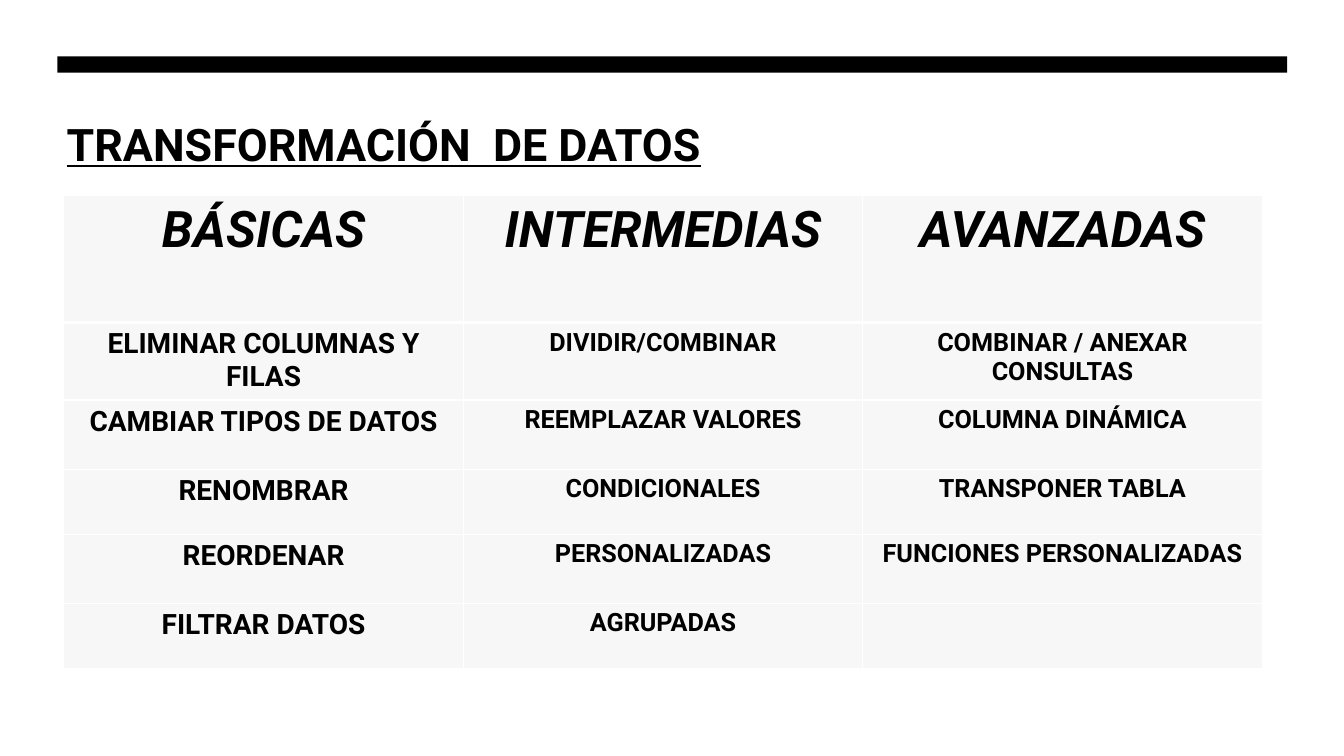
"""Builds the slide on basic, intermediate and advanced data transformations."""
from lxml import etree
from pptx import Presentation
from pptx.dml.color import RGBColor
from pptx.enum.shapes import MSO_SHAPE
from pptx.enum.text import MSO_ANCHOR, PP_ALIGN
from pptx.oxml.ns import qn
from pptx.util import Cm, Pt

BLACK = RGBColor(0x00, 0x00, 0x00)
WHITE = RGBColor(0xFF, 0xFF, 0xFF)
PALE_GRAY = RGBColor(0xF7, 0xF7, 0xF7)
RECTANGLE = MSO_SHAPE.RECTANGLE
CENTER = PP_ALIGN.CENTER
TOP = MSO_ANCHOR.TOP

HEADERS = ["BÁSICAS", "INTERMEDIAS", "AVANZADAS"]
TRANSFORMATIONS = [
    ["ELIMINAR COLUMNAS Y FILAS", "DIVIDIR/COMBINAR", "COMBINAR / ANEXAR CONSULTAS"],
    ["CAMBIAR TIPOS DE DATOS", "REEMPLAZAR VALORES", "COLUMNA DINÁMICA"],
    ["RENOMBRAR", "CONDICIONALES", "TRANSPONER TABLA"],
    ["REORDENAR", "PERSONALIZADAS", "FUNCIONES PERSONALIZADAS"],
    ["FILTRAR DATOS", "AGRUPADAS", ""],
]
ROW_HEIGHTS = [3.2, 1.93, 1.75, 1.63, 1.75, 1.63]
HEADER_SIZE = 36
BODY_SIZES = [20, 18, 18]


class SlideBuilder:
    def __init__(self, slide, font_name="Roboto"):
        self.slide = slide
        self.font_name = font_name

    def style(self, paragraph, size, italic=False, underline=False):
        font = paragraph.font
        font.name = self.font_name
        font.size = Pt(size)
        font.bold = True
        font.italic = italic
        font.underline = underline
        font.color.rgb = BLACK

    def bar(self, left, top, width, height):
        shape = self.slide.shapes.add_shape(
            RECTANGLE, Cm(left), Cm(top), Cm(width), Cm(height))
        shape.shadow.inherit = False
        shape.fill.solid()
        shape.fill.fore_color.rgb = BLACK
        shape.line.fill.background()

    def title(self, text, left, top, width, height):
        box = self.slide.shapes.add_textbox(Cm(left), Cm(top), Cm(width), Cm(height))
        frame = box.text_frame
        frame.word_wrap = True
        frame.vertical_anchor = TOP
        frame.margin_top = Cm(0.22)
        paragraph = frame.paragraphs[0]
        paragraph.text = text
        self.style(paragraph, 32, underline=True)

    def borders(self, cell, bottom_width):
        properties = cell._tc.get_or_add_tcPr()
        widths = {"a:lnL": 1, "a:lnR": 1, "a:lnT": 1, "a:lnB": bottom_width}
        for position, (tag, width) in enumerate(widths.items()):
            line = etree.Element(qn(tag), w=str(Pt(width)))
            fill = etree.SubElement(line, qn("a:solidFill"))
            etree.SubElement(fill, qn("a:srgbClr"), val=str(WHITE))
            properties.insert(position, line)

    def cell(self, cell, text, size, header):
        cell.fill.solid()
        cell.fill.fore_color.rgb = PALE_GRAY
        cell.vertical_anchor = TOP
        self.borders(cell, 3 if header else 1)
        paragraph = cell.text_frame.paragraphs[0]
        paragraph.text = text
        paragraph.alignment = CENTER
        self.style(paragraph, size, italic=header)

    def table(self, rows, left, top, width, heights):
        table = self.slide.shapes.add_table(
            len(rows), len(rows[0]), Cm(left), Cm(top), Cm(width), Cm(sum(heights))).table
        for row_index, (texts, height) in enumerate(zip(rows, heights)):
            table.rows[row_index].height = Cm(height)
            header = row_index == 0
            for column_index, text in enumerate(texts):
                size = HEADER_SIZE if header else BODY_SIZES[column_index]
                self.cell(table.cell(row_index, column_index), text, size, header)


def main():
    presentation = Presentation()
    presentation.slide_width = Cm(33.87)
    presentation.slide_height = Cm(19.05)
    slide = presentation.slides.add_slide(presentation.slide_layouts[6])
    slide.background.fill.solid()
    slide.background.fill.fore_color.rgb = WHITE
    builder = SlideBuilder(slide)
    builder.title("TRANSFORMACIÓN  DE DATOS", 1.43, 2.72, 26.24, 2.21)
    builder.bar(1.45, 1.42, 30.99, 0.41)
    builder.table([HEADERS, *TRANSFORMATIONS], 1.61, 4.93, 30.2, ROW_HEIGHTS)
    presentation.save("out.pptx")


if __name__ == "__main__":
    main()
